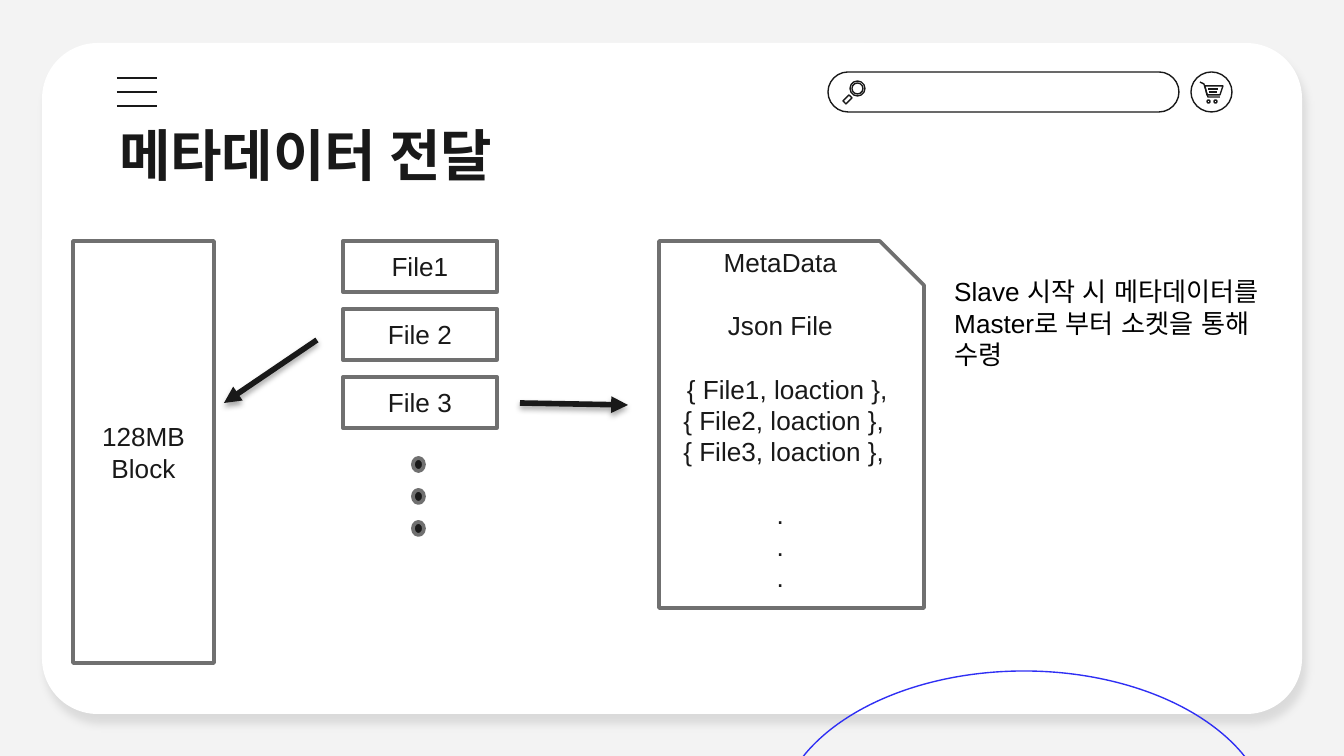
from lxml.etree import SubElement
from pptx import Presentation
from pptx.dml.color import RGBColor
from pptx.enum.shapes import MSO_CONNECTOR, MSO_SHAPE
from pptx.enum.text import MSO_ANCHOR, MSO_AUTO_SIZE, PP_ALIGN
from pptx.oxml.ns import qn
from pptx.util import Emu, Pt

PX = 914400 / 134.4
INK = RGBColor(0x19, 0x19, 0x19)
BLACK = RGBColor(0, 0, 0)
WHITE = RGBColor(0xFF, 0xFF, 0xFF)
GREY = RGBColor(0x70, 0x70, 0x70)
BLUE = RGBColor(0x2F, 0x2F, 0xF4)
BACKDROP = RGBColor(0xF3, 0xF3, 0xF3)

TITLE = "메타데이터 전달"
NOTE = "Slave 시작 시 메타데이터를 Master로 부터 소켓을 통해 수령"
BLOCK = ["128MB", "Block"]
FILES = ["File1", "File 2", "File 3"]
METADATA = [
    ("MetaData", {}),
    ("Json File", {"gap": 17}),
    ("{ File1, loaction },", {"gap": 17, "indent": 14}),
    ("{ File2, loaction },", {"indent": 7}),
    ("{ File3, loaction },", {"indent": 7}),
    (".", {"gap": 17}),
    (".", {}),
    (".", {}),
]

CARD = (42, 43, 1260, 671)
ARC = (777, 671, 494, 310)
SEARCH_BAR = (828, 72, 351, 40)
CART_BUTTON = (1191, 72, 41, 40)
ICON_CIRCLES = [(850, 81, 15, 15), (852, 83, 11, 11), (1207, 100, 3, 3), (1214, 100, 3, 3)]
ICON_OUTLINES = [
    ([(849, 95), (852, 98), (846, 104), (843, 101)], True),
    ([(1205, 86), (1223, 86), (1220, 95), (1207, 95)], True),
    ([(1200, 82), (1204, 84), (1208, 97), (1220, 97)], False),
]
CART_STRIPES = [(1208, 89, 1218, 89), (1209, 92, 1217, 92)]
MENU_LINES = [(117, 78 + 14 * row, 157, 78 + 14 * row) for row in range(3)]

TITLE_AREA = (106, 112, 1133, 85)
BLOCK_AREA = (73, 241, 141, 422)
FILE_AREA, FILE_STEP = (343, 241, 154, 51), 68
DOT_AREA, DOT_STEP, DOT_COUNT = (413, 458, 11, 13), 32, 3
METADATA_AREA = (659, 241, 265, 367)
NOTE_AREA = (941, 269, 364, 109)
ARROWS = [(317, 340, 224, 403), (520, 403, 628, 405)]

BODY_FONT = {"name": "Arial", "size": Pt(14)}
TITLE_FONT = {"name": "Noto Sans CJK KR", "size": Pt(30), "bold": True}


def px(length):
    return Emu(round(length * PX))


def place(area):
    return [px(length) for length in area]


def shift(area, step, index):
    left, top, width, height = area
    return left, top + step * index, width, height


def add_shadow(shape, alpha, blur, distance, angle):
    effects = SubElement(shape.element.spPr, qn("a:effectLst"))
    shadow = SubElement(effects, qn("a:outerShdw"), blurRad=str(Pt(blur)),
                        dist=str(Pt(distance)), dir=str(angle * 60000),
                        algn="bl", rotWithShape="0")
    color = SubElement(shadow, qn("a:srgbClr"), val=str(BLACK))
    SubElement(color, qn("a:alpha"), val=str(alpha * 1000))


def paint(shape, fill=None, line=None, width=0.75):
    shape.shadow.inherit = False
    for part, color in ((shape.fill, fill), (shape.line.fill, line)):
        if color is None:
            part.background()
        else:
            part.solid()
            part.fore_color.rgb = color
    if line is not None:
        shape.line.width = Pt(width)
    return shape


def add_figure(page, kind, area, **look):
    return paint(page.shapes.add_shape(kind, *place(area)), **look)


def add_line(page, ends, width=0.75):
    line = page.shapes.add_connector(MSO_CONNECTOR.STRAIGHT, *place(ends))
    line.line.color.rgb = INK
    line.line.width = Pt(width)
    return line


def write(box, lines, font, color=INK, align=PP_ALIGN.CENTER, **frame_format):
    frame = box.text_frame
    settings = {"word_wrap": True, "auto_size": MSO_AUTO_SIZE.NONE,
                "vertical_anchor": MSO_ANCHOR.MIDDLE} | frame_format
    for name, value in settings.items():
        setattr(frame, name, value)
    for index, (text, layout) in enumerate(lines):
        para = frame.paragraphs[0] if index == 0 else frame.add_paragraph()
        para.alignment = align
        para.space_before = Pt(layout.get("gap", 0))
        if "indent" in layout:
            para._p.get_or_add_pPr().set("marL", str(px(layout["indent"])))
        span = para.add_run()
        span.text = text
        for name, value in font.items():
            setattr(span.font, name, value)
        span.font.color.rgb = color
        SubElement(span.font._element, qn("a:ea"), typeface=font["name"])


def add_browser_frame(page):
    card = add_figure(page, MSO_SHAPE.ROUNDED_RECTANGLE, CARD, fill=WHITE)
    card.adjustments[0] = 0.083
    card.element.spPr.remove(card.element.spPr.find(qn("a:effectLst")))
    add_shadow(card, 10, 4.5, 6, 68)
    add_figure(page, MSO_SHAPE.OVAL, ARC, line=BLUE)
    search = add_figure(page, MSO_SHAPE.ROUNDED_RECTANGLE, SEARCH_BAR, line=INK)
    search.adjustments[0] = 0.5
    for circle in [CART_BUTTON] + ICON_CIRCLES:
        add_figure(page, MSO_SHAPE.OVAL, circle, line=INK)
    for points, closed in ICON_OUTLINES:
        builder = page.shapes.build_freeform(*points[0], scale=PX)
        builder.add_line_segments(points[1:], close=closed)
        paint(builder.convert_to_shape(), line=INK)
    for ends in MENU_LINES + CART_STRIPES:
        SubElement(add_line(page, ends).element.spPr, qn("a:effectLst"))


def add_diagram(page):
    outlined = {"fill": WHITE, "line": GREY, "width": 2}
    block = add_figure(page, MSO_SHAPE.RECTANGLE, BLOCK_AREA, **outlined)
    write(block, [(text, {}) for text in BLOCK], BODY_FONT)
    for index, name in enumerate(FILES):
        area = shift(FILE_AREA, FILE_STEP, index)
        box = add_figure(page, MSO_SHAPE.RECTANGLE, area, **outlined)
        write(box, [(name, {})], BODY_FONT)
    for index in range(DOT_COUNT):
        area = shift(DOT_AREA, DOT_STEP, index)
        add_figure(page, MSO_SHAPE.OVAL, area, fill=INK, line=GREY, width=2)
    for ends in ARROWS:
        arrow = add_line(page, ends, width=3)
        SubElement(arrow.line._get_or_add_ln(), qn("a:tailEnd"), type="triangle")
        add_shadow(arrow, 35, 3.1, 1.8, 90)
    metadata = add_figure(page, MSO_SHAPE.SNIP_1_RECTANGLE, METADATA_AREA, **outlined)
    write(metadata, METADATA, BODY_FONT, margin_bottom=px(38))
    note = page.shapes.add_textbox(*place(NOTE_AREA))
    write(note, [(NOTE, {})], BODY_FONT, BLACK, PP_ALIGN.LEFT,
          vertical_anchor=MSO_ANCHOR.TOP)


def add_title(page):
    title = page.shapes.title
    title.left, title.top, title.width, title.height = place(TITLE_AREA)
    margins = {f"margin_{side}": px(13) for side in ("left", "top", "right", "bottom")}
    write(title, [(TITLE, {})], TITLE_FONT, align=PP_ALIGN.LEFT, **margins)
    title.element.getparent().append(title.element)


def main():
    deck = Presentation()
    deck.slide_width, deck.slide_height = px(1344), px(756)
    page = deck.slides.add_slide(deck.slide_layouts[5])
    page.background.fill.solid()
    page.background.fill.fore_color.rgb = BACKDROP
    add_browser_frame(page)
    add_diagram(page)
    add_title(page)
    deck.save("out.pptx")


if __name__ == "__main__":
    main()
